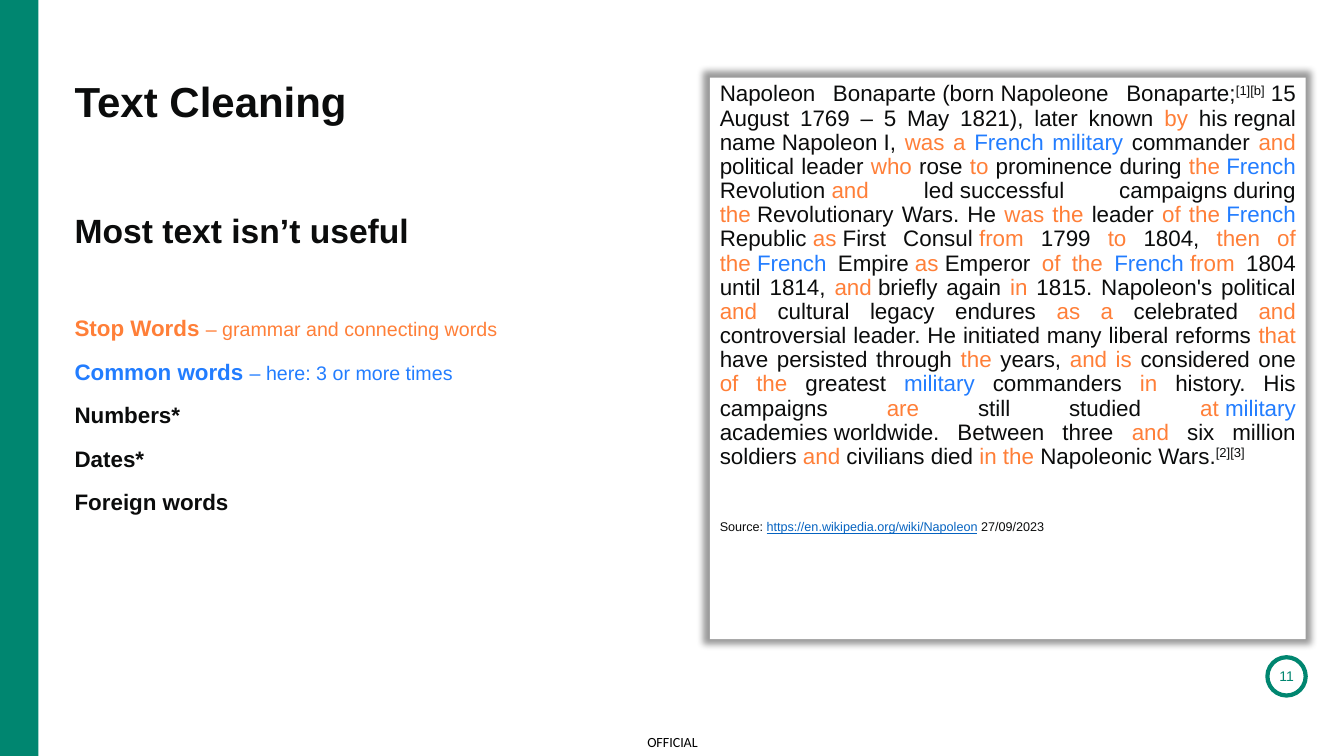
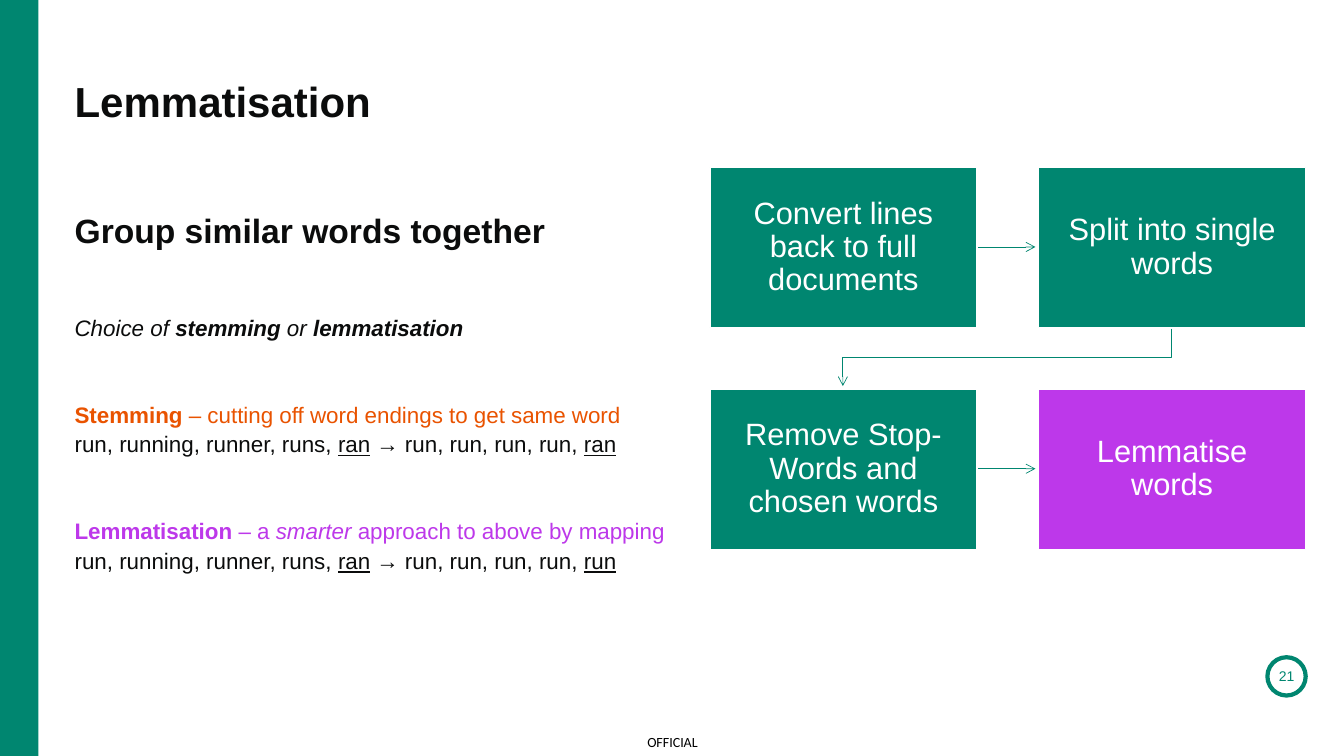
from dataclasses import dataclass
from itertools import groupby
from typing import Optional

from lxml.etree import SubElement
from pptx import Presentation
from pptx.dml.color import RGBColor
from pptx.enum.shapes import MSO_CONNECTOR as Connector, MSO_SHAPE as Preset
from pptx.enum.text import MSO_ANCHOR as Anchor, PP_ALIGN as Align
from pptx.oxml.ns import qn
from pptx.util import Emu, Pt

EMU_PER_PX = 9144
SLIDE_WIDTH, SLIDE_HEIGHT = 1333, 750
GREEN, PURPLE, WHITE, BLACK = "008670", "BD38EA", "FFFFFF", "000000"
INK, ORANGE, BLUE, RUST, LINK = "0B0C0C", "FF7F38", "227DFF", "E95300", "0563C1"
TEXT_LEFT, TEXT_WIDTH = 74, 592
PANEL_LEFT, PANEL_WIDTH = 704, 591

STOP_WORDS = set(
    "by was a and who to the as from then of in that is are at".split()
)
COMMON_WORDS = {"French", "military"}
NO_BREAK_SPACE = chr(160)


@dataclass(frozen=True)
class Span:
    text: str
    color: Optional[str] = None
    size: Optional[int] = None
    bold: Optional[bool] = None
    italic: Optional[bool] = None
    underline: Optional[bool] = None
    raised: bool = False
    new_line: bool = False


@dataclass(frozen=True)
class Para:
    spans: list[Span]
    size: int = 16
    color: str = INK
    bold: bool = False
    font: str = "Arial"
    align: Align = Align.LEFT
    spacing: float = 1.1
    before: int = 0


@dataclass(frozen=True)
class Step:
    text: str
    column: int
    row: int
    color: str = GREEN


def px(length: int) -> Emu:
    return Emu(length * EMU_PER_PX)


def rgb(color: str) -> RGBColor:
    return RGBColor.from_string(color)


def write(frame, paras: list[Para], inset=(0, 0), anchor=Anchor.TOP) -> None:
    frame.word_wrap = True
    frame.vertical_anchor = anchor
    frame.margin_left = frame.margin_right = px(inset[0])
    frame.margin_top = frame.margin_bottom = px(inset[1])
    for index, para in enumerate(paras):
        paragraph = frame.add_paragraph() if index else frame.paragraphs[0]
        paragraph.alignment = para.align
        paragraph.line_spacing = para.spacing
        if para.before:
            paragraph.space_before = Pt(para.before)
        font = paragraph.font
        font.name, font.size, font.bold = para.font, Pt(para.size), para.bold
        font.color.rgb = rgb(para.color)
        for span in para.spans:
            if span.new_line:
                paragraph.add_line_break()
            run = paragraph.add_run()
            run.text = span.text
            if span.color:
                run.font.color.rgb = rgb(span.color)
            if span.size:
                run.font.size = Pt(span.size)
            for trait in ("bold", "italic", "underline"):
                if getattr(span, trait) is not None:
                    setattr(run.font, trait, getattr(span, trait))
            if span.raised:
                run._r.get_or_add_rPr().set("baseline", "30000")


def add_text(slide, left: int, top: int, width: int, height: int,
             paras: list[Para], anchor=Anchor.TOP) -> None:
    box = slide.shapes.add_textbox(px(left), px(top), px(width), px(height))
    write(box.text_frame, paras, anchor=anchor)


def add_preset(slide, preset: Preset, left: int, top: int, width: int, height: int,
               fill: Optional[str] = None, line: Optional[str] = None,
               weight: float = 1):
    shape = slide.shapes.add_shape(preset, px(left), px(top), px(width), px(height))
    shape.shadow.inherit = False
    if fill:
        shape.fill.solid()
        shape.fill.fore_color.rgb = rgb(fill)
    else:
        shape.fill.background()
    if line:
        shape.line.color.rgb = rgb(line)
        shape.line.width = Pt(weight)
    else:
        shape.line.fill.background()
    return shape


def add_frame(deck, title: str, subtitle: str, number: int):
    slide = deck.slides.add_slide(deck.slide_layouts[6])
    add_preset(slide, Preset.RECTANGLE, 0, 0, 38, SLIDE_HEIGHT, fill=GREEN)
    add_text(slide, 627, 721, 80, 29,
             [Para([Span("OFFICIAL")], 10, BLACK, font="Calibri", align=Align.CENTER)],
             Anchor.MIDDLE)
    badge = add_preset(slide, Preset.OVAL, 1257, 652, 38, 38, line=GREEN, weight=3)
    write(badge.text_frame,
          [Para([Span(str(number))], 10, GREEN, align=Align.CENTER, spacing=1.0)],
          anchor=Anchor.MIDDLE)
    add_text(slide, TEXT_LEFT, 75, TEXT_WIDTH, 50,
             [Para([Span(title)], 30, bold=True, spacing=1.0)])
    add_text(slide, TEXT_LEFT, 204, TEXT_WIDTH, 41,
             [Para([Span(subtitle)], 24, bold=True)])
    return slide


def add_body(slide, paras: list[Para]) -> None:
    add_text(slide, TEXT_LEFT, 309, TEXT_WIDTH, 366, paras)


def word_color(word: str) -> Optional[str]:
    if word.strip() in STOP_WORDS:
        return ORANGE
    return BLUE if word.strip() in COMMON_WORDS else None


def highlight(text: str) -> list[Span]:
    words = text.replace(" ", " |").replace("~", NO_BREAK_SPACE + "|").split("|")
    return [Span("".join(group), color) for color, group in groupby(words, word_color)]


def add_soft_shadow(shape) -> None:
    effects = shape._element.spPr.find(qn("a:effectLst"))
    shadow = SubElement(effects, qn("a:outerShdw"), blurRad="63500",
                        sx="102000", sy="102000", algn="ctr", rotWithShape="0")
    color = SubElement(shadow, qn("a:srgbClr"), val=BLACK)
    SubElement(color, qn("a:alpha"), val="40000")


def add_arrow(slide, points: list[tuple[int, int]]) -> None:
    corners = [(px(x), px(y)) for x, y in points]
    if len(corners) == 2:
        arrow = slide.shapes.add_connector(Connector.STRAIGHT, *corners[0], *corners[1])
    else:
        builder = slide.shapes.build_freeform(*corners[0])
        builder.add_line_segments(corners[1:], close=False)
        arrow = builder.convert_to_shape()
        arrow.fill.background()
    arrow.line.color.rgb = rgb(GREEN)
    arrow.line.width = Pt(0.5)
    properties = arrow._element.spPr
    SubElement(properties.find(qn("a:ln")), qn("a:tailEnd"), type="arrow")
    SubElement(properties, qn("a:effectLst"))


def build_cleaning(deck) -> None:
    slide = add_frame(deck, "Text Cleaning", "Most text isn’t useful", 11)
    passage = [
        *highlight("Napoleon Bonaparte~(born~Napoleone Bonaparte;"),
        Span("[1][b]", raised=True),
        *highlight(
            "~15 August 1769 – 5 May 1821), later known by his~regnal name~Napoleon~I, "
            "was a French military commander and political leader who rose to prominence "
            "during the~French Revolution~and led~successful campaigns~during "
            "the~Revolutionary Wars. He was the leader of the~French Republic~as~First "
            "Consul~from 1799 to 1804, then of the~French Empire~as~Emperor of the "
            "French~from 1804 until 1814, and~briefly again in 1815. Napoleon's political "
            "and cultural legacy endures as a celebrated and controversial leader. He "
            "initiated many liberal reforms that have persisted through the years, and is "
            "considered one of the greatest military commanders in history. His campaigns "
            "are still studied at~military academies~worldwide. Between three and six "
            "million soldiers and civilians~died~in the~Napoleonic Wars."
        ),
        Span("[2][3]", raised=True),
    ]
    source = [
        Span("Source: "),
        Span("https://en.wikipedia.org/wiki/Napoleon", LINK, underline=True),
        Span(" 27/09/2023"),
    ]
    panel = add_preset(slide, Preset.RECTANGLE, PANEL_LEFT, 77, PANEL_WIDTH, 557,
                       fill=WHITE)
    add_soft_shadow(panel)
    write(panel.text_frame, [
        Para(passage, align=Align.JUSTIFY, spacing=0.9),
        Para(source, 9, align=Align.JUSTIFY, spacing=0.9, before=37),
    ], inset=(10, 5))

    categories = [
        ("Stop Words ", "– grammar and connecting words", ORANGE),
        ("Common words ", "– here: 3 or more times", BLUE),
        ("Numbers*", "", INK),
        ("Dates*", "", INK),
        ("Foreign words", "", INK),
    ]
    add_body(slide, [
        Para([Span(name)] + ([Span(detail, size=14, bold=False)] if detail else []),
             color=color, bold=True, before=10 if index else 0)
        for index, (name, detail, color) in enumerate(categories)
    ])


def word_example(last_result: str) -> list[Span]:
    return [
        Span("run, running, runner, runs, ", INK, new_line=True),
        Span("ran", INK, underline=True),
        Span(" → run, run, run, run, ", INK),
        Span(last_result, INK, underline=True),
    ]


def build_lemmatisation(deck) -> None:
    slide = add_frame(deck, "Lemmatisation", "Group similar words together", 21)
    add_body(slide, [
        Para([
            Span("Choice of ", italic=True),
            Span("stemming", bold=True, italic=True),
            Span(" or ", italic=True),
            Span("lemmatisation", bold=True, italic=True),
        ]),
        Para([
            Span("Stemming", bold=True),
            Span(" – cutting off word endings to get same word"),
            *word_example("ran"),
        ], color=RUST, before=41),
        Para([
            Span("Lemmatisation", bold=True),
            Span(" – a "),
            Span("smarter", italic=True),
            Span(" approach to above by mapping"),
            *word_example("run"),
        ], color=PURPLE, before=41),
    ])

    top, width, height, gap = 166, 265, 159, 61
    steps = [
        Step("Convert lines back to full documents", 0, 0),
        Step("Split into single words", 1, 0),
        Step("Remove Stop-Words and chosen words", 0, 1),
        Step("Lemmatise words", 1, 1, PURPLE),
    ]
    lefts = [PANEL_LEFT + column * (width + gap) for column in range(2)]
    tops = [top + row * (height + gap) for row in range(2)]
    for step in steps:
        box = add_preset(slide, Preset.RECTANGLE, lefts[step.column], tops[step.row],
                         width, height, fill=step.color, line=WHITE)
        write(box.text_frame,
              [Para([Span(step.text)], 22, WHITE, align=Align.CENTER, spacing=0.9)],
              inset=(17, 17), anchor=Anchor.MIDDLE)

    head_gap = 3
    for row_top in tops:
        middle = row_top + height // 2
        add_arrow(slide, [(lefts[0] + width + 1, middle), (lefts[1] - head_gap, middle)])
    first_center, second_center = (left + width // 2 for left in lefts)
    turn = tops[0] + height + gap // 2
    add_arrow(slide, [
        (second_center, tops[0] + height + 1),
        (second_center, turn),
        (first_center, turn),
        (first_center, tops[1] - head_gap),
    ])


def main() -> None:
    deck = Presentation()
    deck.slide_width, deck.slide_height = px(SLIDE_WIDTH), px(SLIDE_HEIGHT)
    build_cleaning(deck)
    build_lemmatisation(deck)
    deck.save("out.pptx")


if __name__ == "__main__":
    main()
